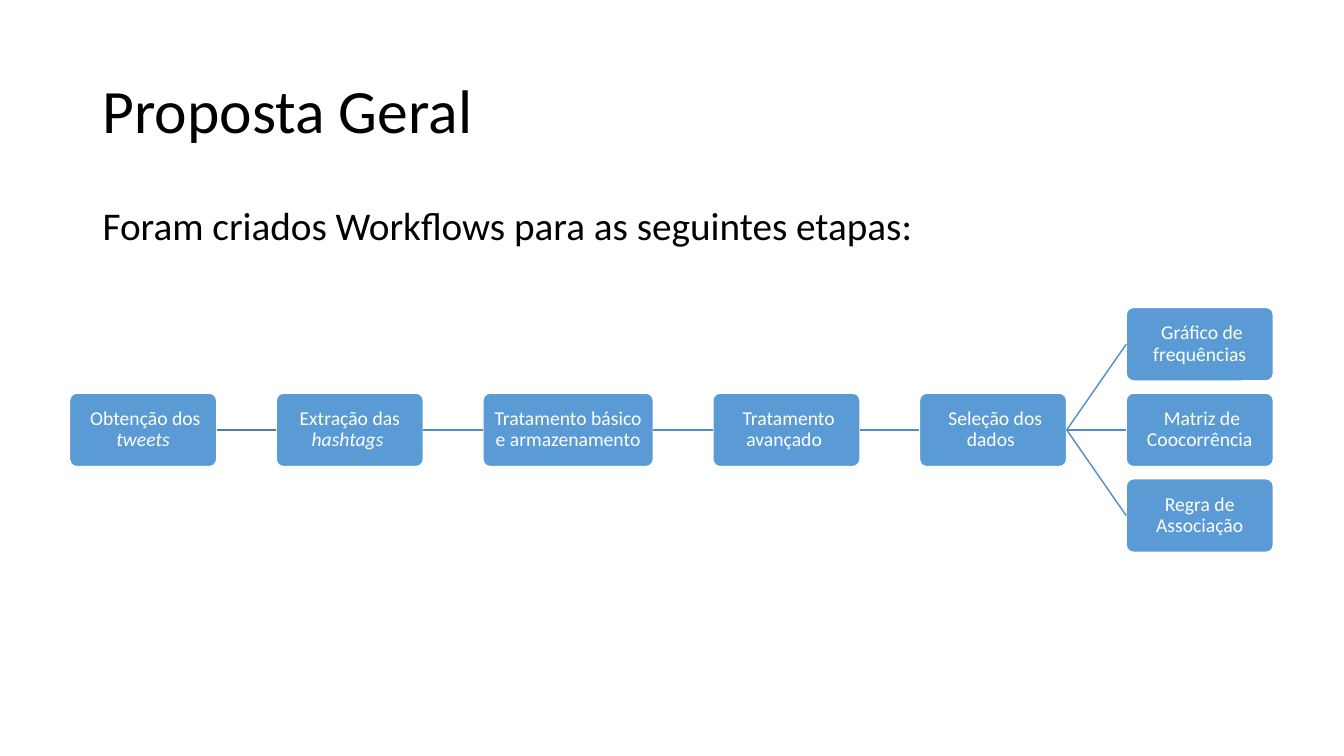
from dataclasses import dataclass

from lxml import etree
from pptx import Presentation
from pptx import util as u
from pptx.dml.color import RGBColor
from pptx.enum import shapes, text
from pptx.oxml import ns


@dataclass(frozen=True)
class Theme:
    """Colours and type sizes of the slide."""
    font: str = "Calibri"
    ink: str = "000000"
    paper: str = "FFFFFF"
    box: str = "5B9BD5"
    first_link: str = "497CAB"
    link: str = "538DC1"
    title_size: int = 44
    body_size: int = 28
    box_size: int = 14


def write(frame, runs, *, size, color, font, align=text.PP_ALIGN.LEFT,
          anchor=text.MSO_ANCHOR.TOP, margins=(0.1, 0.05)):
    """Fill a text frame with one paragraph of (words, italic) runs."""
    frame.word_wrap = True
    frame.vertical_anchor = anchor
    frame.margin_left = frame.margin_right = u.Inches(margins[0])
    frame.margin_top = frame.margin_bottom = u.Inches(margins[1])
    paragraph = frame.paragraphs[0]
    paragraph.alignment = align
    paragraph.line_spacing = 0.9
    for words, italic in runs:
        run = paragraph.add_run()
        run.text = words
        run.font.name = font
        run.font.size = u.Pt(size)
        run.font.italic = italic
        run.font.color.rgb = RGBColor.from_string(color)


class SlideBuilder:
    """Draws styled elements on one slide."""

    def __init__(self, slide, theme):
        """Keep the slide and its theme."""
        self.slide = slide
        self.theme = theme

    def label(self, words, place, size, anchor=text.MSO_ANCHOR.TOP):
        """Add a plain text box."""
        shape = self.slide.shapes.add_textbox(*map(u.Inches, place))
        write(shape.text_frame, [(words, False)], size=size, anchor=anchor,
              color=self.theme.ink, font=self.theme.font)

    def step(self, runs, left, top, width, height):
        """Add a rounded box for one step."""
        shape = self.slide.shapes.add_shape(
            shapes.MSO_SHAPE.ROUNDED_RECTANGLE,
            *map(u.Inches, (left, top, width, height)))
        shape.shadow.inherit = False
        shape.adjustments[0] = 0.1
        shape.fill.solid()
        shape.fill.fore_color.rgb = RGBColor.from_string(self.theme.box)
        shape.line.color.rgb = RGBColor.from_string(self.theme.paper)
        shape.line.width = u.Pt(1)
        write(shape.text_frame, runs, size=self.theme.box_size,
              color=self.theme.paper, font=self.theme.font,
              align=text.PP_ALIGN.CENTER, anchor=text.MSO_ANCHOR.MIDDLE,
              margins=(0.03, 0.03))
        return shape

    def link(self, source, target, color):
        """Join the right side of one box to the left side of another."""
        connector = self.slide.shapes.add_connector(
            shapes.MSO_CONNECTOR.STRAIGHT, 0, 0, 0, 0)
        connector.begin_connect(source, 3)
        connector.end_connect(target, 1)
        connector.line.color.rgb = RGBColor.from_string(color)
        connector.line.width = u.Pt(1)
        properties = connector._element.spPr
        etree.SubElement(properties, ns.qn("a:effectLst"))


BOX_WIDTH, WIDE_BOX, BOX_HEIGHT = 1.46, 1.69, 0.73
GAP = 0.59
ROW_TOP, ROW_PITCH = 3.9, 0.85

STEPS = [
    ([(" Obtenção dos ", False), ("tweets", True)], BOX_WIDTH),
    ([("Extração das ", False), ("hashtags ", True)], BOX_WIDTH),
    ([("Tratamento básico e armazenamento", False)], WIDE_BOX),
    ([(" Tratamento avançado ", False)], BOX_WIDTH),
    ([(" Seleção dos dados ", False)], BOX_WIDTH),
]
RESULTS = [" Gráfico de frequências", " Matriz de Coocorrência",
           "Regra de Associação"]


def main():
    """Build and save the slide."""
    presentation = Presentation()
    presentation.slide_width = u.Inches(13.33)
    presentation.slide_height = u.Inches(7.5)
    theme = Theme()
    slide = presentation.slides.add_slide(presentation.slide_layouts[6])
    builder = SlideBuilder(slide, theme)

    builder.label("Proposta Geral", (0.92, 0.4, 11.5, 1.45),
                  theme.title_size, text.MSO_ANCHOR.MIDDLE)
    builder.label("Foram criados Workflows para as seguintes etapas:",
                  (0.92, 2, 11.5, 4.76), theme.body_size)

    left = 0.69
    chain = []
    for runs, width in STEPS:
        chain.append(builder.step(runs, left, ROW_TOP, width, BOX_HEIGHT))
        left += width + GAP
    for index, (source, target) in enumerate(zip(chain, chain[1:])):
        builder.link(source, target, theme.link if index else theme.first_link)

    for row, words in enumerate(RESULTS, start=-1):
        result = builder.step([(words, False)], left, ROW_TOP + row * ROW_PITCH,
                              BOX_WIDTH, BOX_HEIGHT)
        builder.link(chain[-1], result, theme.link)

    presentation.save("out.pptx")


if __name__ == "__main__":
    main()
